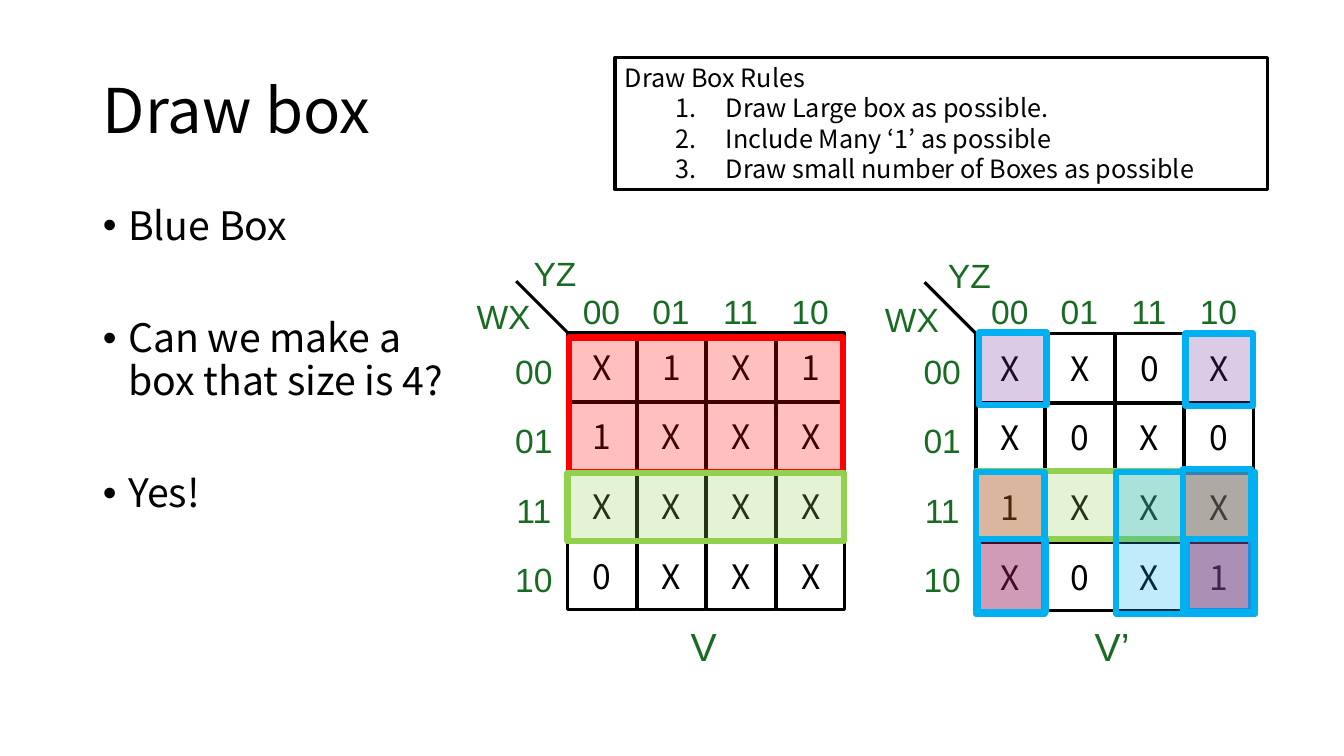
from lxml.etree import SubElement
from pptx import Presentation
from pptx.dml.color import RGBColor
from pptx.enum.shapes import MSO_CONNECTOR, MSO_SHAPE
from pptx.enum.text import MSO_ANCHOR, MSO_AUTO_SIZE, PP_ALIGN
from pptx.oxml.ns import qn
from pptx.util import Inches, Pt

BODY_FONT = "Noto Sans CJK KR"
LABEL_FONT = "Arial"
BLACK, GREEN = "000000", "196B24"
RED, LIME, SKY, DARK_RED, PURPLE = "FF0000", "92D050", "00B0F0", "C00000", "7030A0"
GRAY_CODE = ["00", "01", "11", "10"]
PITCH, CELL = 0.69, 0.68


def color(value):
    return RGBColor.from_string(value)


def place(shape, left, top, width, height):
    shape.left, shape.top = Inches(left), Inches(top)
    shape.width, shape.height = Inches(width), Inches(height)


def style(para, text, size, font=BODY_FONT, ink=BLACK, align=PP_ALIGN.LEFT):
    para.text = text
    para.alignment = align
    para.font.size = Pt(size)
    para.font.name = font
    para.font.color.rgb = color(ink)


def add_bullet(para, indent, hanging, tag, **attributes):
    properties = para._p.get_or_add_pPr()
    properties.set("marL", str(Inches(indent)))
    properties.set("indent", str(-Inches(hanging)))
    SubElement(properties, qn("a:buFont"), typeface="Arial")
    SubElement(properties, qn(tag), **attributes)


def add_box(page, left, top, width, height, line, weight, fill=None):
    box = page.shapes.add_shape(MSO_SHAPE.RECTANGLE, Inches(left), Inches(top),
                                Inches(width), Inches(height))
    box.shadow.inherit = False
    box.line.color.rgb = color(line)
    box.line.width = Pt(weight)
    if fill:
        box.fill.solid()
        box.fill.fore_color.rgb = color(fill)
        tint = box.fill._xPr.find(qn("a:solidFill"))[0]
        SubElement(tint, qn("a:alpha"), val="25000")
    else:
        box.fill.background()
    return box


def add_label(page, text, left, top, width=0.65, height=0.5, size=24):
    box = page.shapes.add_textbox(Inches(left), Inches(top), Inches(width), Inches(height))
    box.text_frame.word_wrap = True
    style(box.text_frame.paragraphs[0], text, size, LABEL_FONT, GREEN, PP_ALIGN.CENTER)


def add_map(page, left, top, rows, name, column_axis, row_axis):
    """Draw a Karnaugh map; each axis is its (left, top) label position."""
    for row, values in enumerate(rows):
        for column, value in enumerate(values):
            cell = add_box(page, left + column * PITCH, top + row * PITCH,
                           CELL, CELL, BLACK, 2.25)
            cell.text_frame.vertical_anchor = MSO_ANCHOR.MIDDLE
            style(cell.text_frame.paragraphs[0], value, 24, align=PP_ALIGN.CENTER)

    # Corner line between the two axes
    corner = page.shapes.add_connector(MSO_CONNECTOR.STRAIGHT, Inches(left), Inches(top),
                                       Inches(left - 0.51), Inches(top - 0.51))
    corner.line.color.rgb = color(BLACK)
    corner.line.width = Pt(2.25)
    SubElement(corner._element.spPr, qn("a:effectLst"))

    # Axis names, codes and map name
    add_label(page, "YZ", *column_axis, width=1.03)
    add_label(page, "WX", *row_axis, width=1.03)
    for index, code in enumerate(GRAY_CODE):
        add_label(page, code, left + 0.01 + index * PITCH, 2.84)
        add_label(page, code, left - 0.66, 3.43 + index * PITCH)
    add_label(page, name, left + 0.72, 6.12, 1.26, 0.57, 28)


def fill_placeholders(page):
    title, body = page.placeholders
    place(title, 0.92, 0.4, 11.5, 1.45)
    title.text_frame.vertical_anchor = MSO_ANCHOR.MIDDLE
    title.text_frame.auto_size = MSO_AUTO_SIZE.NONE
    heading = title.text_frame.paragraphs[0]
    style(heading, "Draw box", 44)
    heading.line_spacing = 0.9

    place(body, 0.92, 2, 3.77, 4.76)
    frame = body.text_frame
    frame.auto_size = MSO_AUTO_SIZE.NONE
    points = ["Blue Box", "Can we make a box that size is 4?", "Yes!"]
    for index, text in enumerate(points):
        para = frame.add_paragraph() if index else frame.paragraphs[0]
        style(para, text, 28)
        para.line_spacing = 0.9
        para.space_before = Pt(50 if index else 10)
        add_bullet(para, 0.25, 0.25, "a:buChar", char="•")


def add_rules(page):
    box = add_box(page, 6.1, 0.57, 6.47, 1.31, BLACK, 2.25)
    frame = box.text_frame
    frame.vertical_anchor = MSO_ANCHOR.TOP
    style(frame.paragraphs[0], "Draw Box Rules", 18)
    for text in ["Draw Large box as possible.", "Include Many ‘1’ as possible",
                 "Draw small number of Boxes as possible"]:
        para = frame.add_paragraph()
        style(para, text, 18)
        para.level = 1
        add_bullet(para, 1, 0.5, "a:buAutoNum", type="arabicPeriod")


def main():
    deck = Presentation()
    deck.slide_width, deck.slide_height = Inches(13.33), Inches(7.5)
    page = deck.slides.add_slide(deck.slide_layouts[1])
    fill_placeholders(page)

    # Karnaugh maps
    add_map(page, 5.63, 3.3, ["X1X1", "1XXX", "XXXX", "0XXX"], "V",
            (4.99, 2.46), (4.48, 2.89))
    add_map(page, 9.68, 3.31, ["XX0X", "X0X0", "1XXX", "X0X1"], "V’",
            (9.1, 2.48), (8.53, 2.92))

    # Translucent groups: left, top, width, height, line, fill
    groups = [
        (5.64, 3.35, 2.72, 1.33, RED, RED),
        (9.68, 4.67, 2.74, 0.68, LIME, LIME),
        (5.63, 4.69, 2.74, 0.68, LIME, LIME),
        (11.07, 4.68, 1.38, 1.41, SKY, SKY),
        (11.73, 4.65, 0.68, 1.41, SKY, DARK_RED),
        (9.68, 4.68, 0.68, 1.41, SKY, DARK_RED),
        (9.71, 3.3, 0.67, 0.72, SKY, PURPLE),
        (9.7, 5.35, 0.67, 0.72, SKY, PURPLE),
        (11.77, 5.35, 0.67, 0.72, SKY, PURPLE),
        (11.76, 3.31, 0.67, 0.72, SKY, PURPLE),
    ]
    for left, top, width, height, line, fill in groups:
        add_box(page, left, top, width, height, line, 4.5, fill)

    add_rules(page)
    deck.save("out.pptx")


if __name__ == "__main__":
    main()
